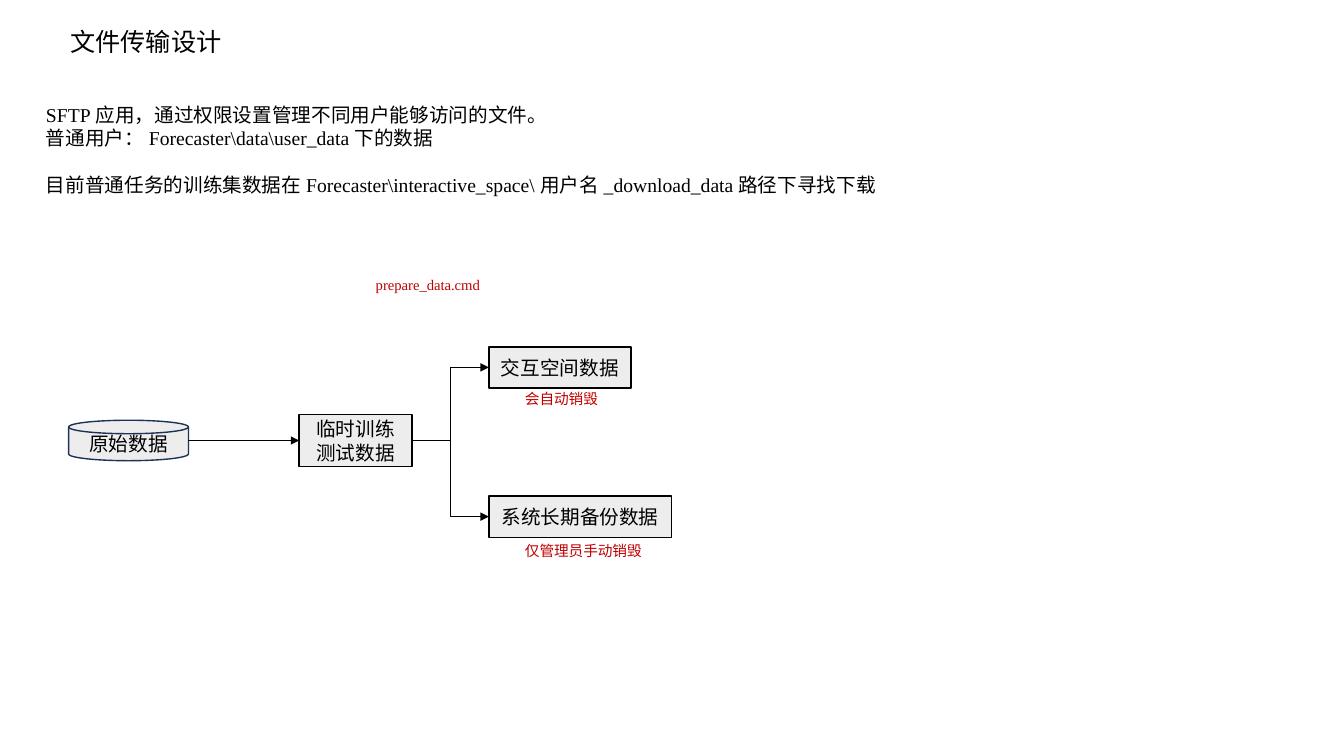
"""Build the file transfer design slide."""
import pptx
import pptx.util
import pptx.dml.color
import pptx.enum.shapes
import pptx.enum.text
import pptx.oxml.ns
from lxml import etree

Cm, Pt = pptx.util.Cm, pptx.util.Pt
SHAPE = pptx.enum.shapes.MSO_SHAPE
LINK = pptx.enum.shapes.MSO_CONNECTOR
ALIGN = pptx.enum.text.PP_ALIGN
ANCHOR = pptx.enum.text.MSO_ANCHOR
FIT = pptx.enum.text.MSO_AUTO_SIZE
qn = pptx.oxml.ns.qn

HUES = {"ink": "000000", "note": "C00000", "box": "EDEDED", "disk": "1E3256"}
HAN = "Noto Sans CJK SC"
ROMAN = "Times New Roman"
HEAD = {"size": Pt(18), "name": HAN, "bold": False}
BODY = {"size": Pt(14), "name": ROMAN}
LABEL = {"size": Pt(14), "name": HAN}
NOTE = {"size": Pt(10.5), "name": ROMAN}


def hue(name):
    return pptx.dml.color.RGBColor.from_string(HUES[name])


def assign(item, values):
    for key, value in values.items():
        setattr(item, key, value)


def write(shape, lines, style, color="ink", align=ALIGN.LEFT, **frame):
    text = shape.text_frame
    assign(text, {"word_wrap": True, "vertical_anchor": ANCHOR.TOP, **frame})
    text.text = "\n".join(lines)
    for para in text.paragraphs:
        para.alignment = align
        for run in para.runs:
            assign(run.font, style)
            run.font.color.rgb = hue(color)
            east = etree.SubElement(run.font._element, qn("a:ea"))
            east.set("typeface", HAN)
    return text


def add_text(slide, place, lines, style, color="ink"):
    box = slide.shapes.add_textbox(*map(Cm, place))
    return write(box, lines, style, color, auto_size=FIT.SHAPE_TO_FIT_TEXT)


def add_node(slide, kind, place, label, edge="ink"):
    node = slide.shapes.add_shape(kind, *map(Cm, place))
    node.shadow.inherit = False
    node.fill.solid()
    node.fill.fore_color.rgb = hue("box")
    node.line.color.rgb = hue(edge)
    node.line.width = Pt(1)
    write(node, [label], LABEL, align=ALIGN.CENTER, vertical_anchor=ANCHOR.MIDDLE)


def add_arrow(slide, kind, start, end):
    arrow = slide.shapes.add_connector(kind, *map(Cm, start + end))
    arrow.line.color.rgb = hue("ink")
    arrow.line.width = Pt(0.5)
    props = arrow.element.spPr
    tip = etree.SubElement(props.find(qn("a:ln")), qn("a:tailEnd"))
    tip.set("type", "triangle")
    etree.SubElement(props, qn("a:effectLst"))


def add_title(slide, place, title):
    head = slide.shapes.title
    assign(head, dict(zip(("left", "top", "width", "height"), map(Cm, place))))
    write(head, [title], HEAD, word_wrap=False, auto_size=FIT.SHAPE_TO_FIT_TEXT)


def main():
    deck = pptx.Presentation()
    assign(deck, {"slide_width": Cm(33.87), "slide_height": Cm(19.05)})
    slide = deck.slides.add_slide(deck.slide_layouts.get_by_name("Title Only"))

    add_title(slide, (1.52, 0.53, 4.37, 1.02), "文件传输设计")
    intro = add_text(slide, (0.91, 2.46, 23.57, 3.25), [
        "SFTP应用，通过权限设置管理不同用户能够访问的文件。",
        r"普通用户：Forecaster\data\user_data下的数据",
        r"目前普通任务的训练集数据在Forecaster\interactive_space\用户名_download_data路径下寻找下载",
    ], BODY)
    intro.paragraphs[-1].space_before = Pt(16.8)

    add_node(slide, SHAPE.FLOWCHART_MAGNETIC_DISK, (1.73, 10.59, 3.02, 1.02), "原始数据", "disk")
    for place, label in (
        ((7.54, 10.44, 2.84, 1.32), "临时训练测试数据"),
        ((12.32, 8.74, 3.58, 1.04), "交互空间数据"),
        ((12.32, 12.5, 4.6, 1.04), "系统长期备份数据"),
    ):
        add_node(slide, SHAPE.FLOWCHART_PROCESS, place, label)

    add_arrow(slide, LINK.STRAIGHT, (4.75, 11.1), (7.54, 11.1))
    for level in (9.26, 13.02):
        add_arrow(slide, LINK.ELBOW, (10.38, 11.1), (12.32, level))

    for place, note in (
        ((9.22, 6.83, 3.28, 0.74), "prepare_data.cmd"),
        ((12.98, 9.7, 3.28, 0.74), "会自动销毁"),
        ((12.98, 13.54, 3.51, 0.71), "仅管理员手动销毁"),
    ):
        add_text(slide, place, [note], NOTE, "note")

    deck.save("out.pptx")


if __name__ == "__main__":
    main()
